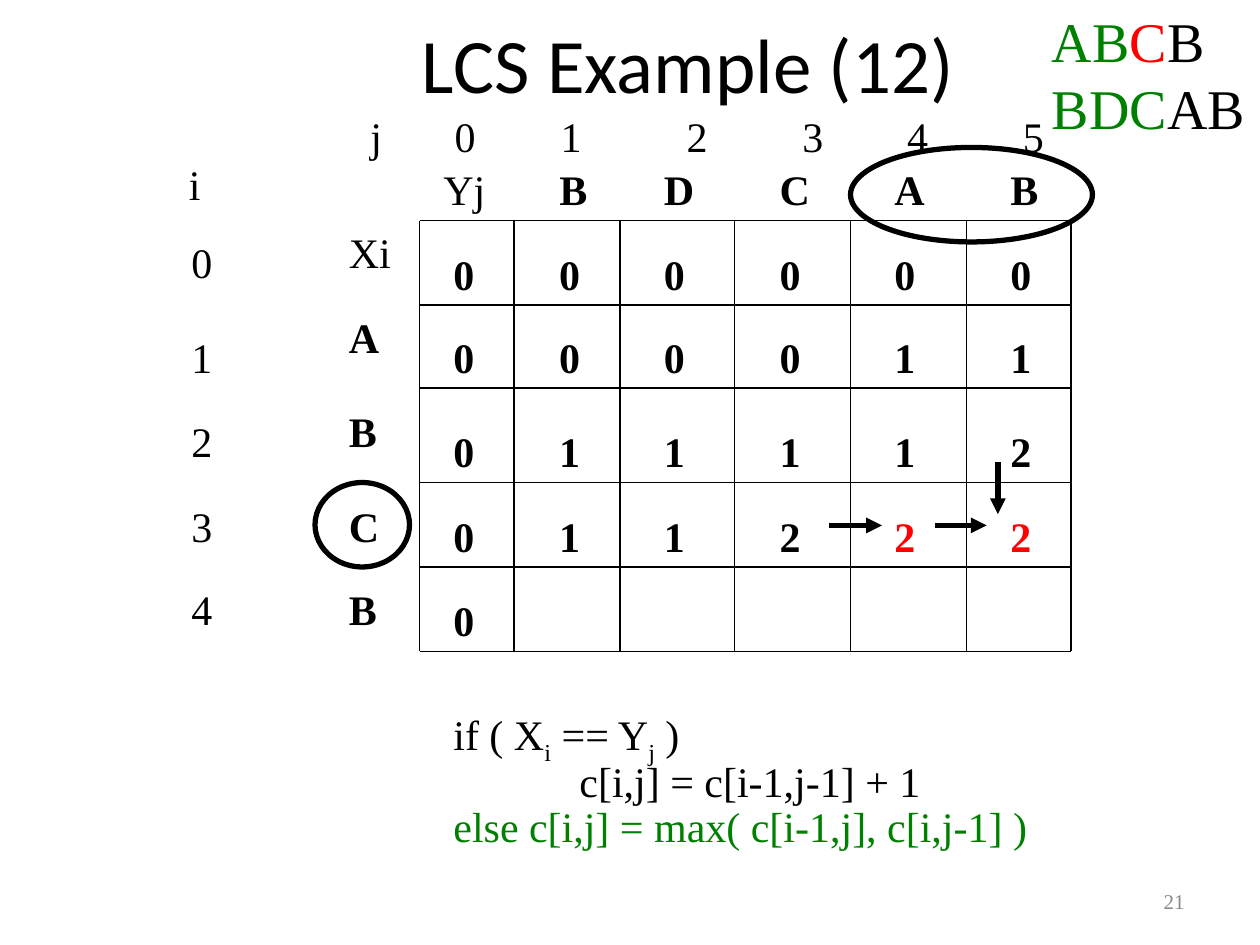
import pptx
import pptx.dml.color
import pptx.enum.shapes
import pptx.enum.text
import pptx.oxml
import pptx.oxml.ns
import pptx.util
from pptx.util import Inches

BLACK = pptx.dml.color.RGBColor(0x00, 0x00, 0x00)
GREEN = pptx.dml.color.RGBColor(0x00, 0x80, 0x00)
RED = pptx.dml.color.RGBColor(0xFF, 0x00, 0x00)
GRAY = pptx.dml.color.RGBColor(0x89, 0x89, 0x89)
SERIF = "Times New Roman"
ALIGN = pptx.enum.text.PP_ALIGN
MIDDLE = pptx.enum.text.MSO_ANCHOR.MIDDLE

# Content
TITLE = "LCS Example (12)"
SLIDE_NUMBER = "21"
COLUMN_INDEXES = "j\t0\t1\t2\t3\t4\t5"
ROW_INDEXES = ["0", "1", "2", "3", "4"]
COLUMN_SYMBOLS = ["B", "D", "C", "A", "B"]
ROW_SYMBOLS = ["A", "B", "C", "B"]
LCS_VALUES = ["000000", "000011", "011112", "011222", "0"]
RED_CELLS = {(3, 4), (3, 5)}
# Paragraphs as (indent, [(text, color, baseline)])
STRINGS = [
    (0, [("AB", GREEN, 0), ("C", RED, 0), ("B", BLACK, 0)]),
    (0, [("BDC", GREEN, 0), ("AB", BLACK, 0)]),
]
RULE = [
    (2, [("if ( X", BLACK, 0), ("i", BLACK, -25), (" == Y", BLACK, 0),
         ("j", BLACK, -25), (" )", BLACK, 0)]),
    (3, [("c[i,j] = c[i-1,j-1] + 1", BLACK, 0)]),
    (2, [("else c[i,j] = max( c[i-1,j], c[i,j-1] )", GREEN, 0)]),
]

# Positions in inches
GRID_X = [3.33, 4.08, 4.92, 5.83, 6.75, 7.67, 8.5]
GRID_Y = [1.75, 2.42, 3.08, 3.83, 4.5, 5.17]
CELL_LEFTS = [3.5, 4.34, 5.17, 6.09, 7, 7.92]
CELL_TOPS = [1.92, 2.58, 3.33, 4, 4.67]
SYMBOL_TOPS = [2.42, 3.17, 3.92, 4.58]
INDEX_TOPS = [1.83, 2.58, 3.25, 3.92, 4.58]
INDEX_TABS = [0.67, 1.51, 2.51, 3.43, 4.26, 5.18]
SYMBOL_LEFT, INDEX_LEFT, HEADER_TOP = 2.67, 1.42, 1.25
LABEL_WIDTHS = {"i": 0.29, "B": 0.42, "A": 0.44, "C": 0.44, "D": 0.44,
                "Xi": 0.53, "Yj": 0.53}
DIGIT_WIDTH = 0.36
ARROWS = [(6.58, 4.17, 7, 4.17), (7.42, 4.17, 7.83, 4.17), (7.92, 3.67, 7.92, 4.08)]
RINGS = [(6.75, 1.17, 1.92, 0.75), (2.5, 3.83, 0.75, 0.67)]


def format_font(font, color=BLACK, **values):
    settings = {"name": SERIF, "size": pptx.util.Pt(24), "bold": False, **values}
    for attribute, value in settings.items():
        setattr(font, attribute, value)
    font.color.rgb = color


def add_box(slide, left, top, width, height, wrap=True):
    box = slide.shapes.add_textbox(*map(Inches, (left, top, width, height)))
    box.text_frame.word_wrap = wrap
    return box.text_frame


def add_label(slide, text, left, top, **font_values):
    width = LABEL_WIDTHS.get(text, DIGIT_WIDTH)
    paragraph = add_box(slide, left, top, width, 0.5, wrap=False).paragraphs[0]
    paragraph.text = text
    format_font(paragraph.runs[0].font, **font_values)


def add_rich_text(frame, paragraphs, size, line_spacing=1.0):
    for number, (indent, runs) in enumerate(paragraphs):
        paragraph = frame.add_paragraph() if number else frame.paragraphs[0]
        paragraph.line_spacing = line_spacing
        paragraph._p.get_or_add_pPr().set("marL", str(Inches(indent)))
        for text, color, baseline in runs:
            run = paragraph.add_run()
            run.text = text
            format_font(run.font, color, size=pptx.util.Pt(size))
            if baseline:
                run._r.get_or_add_rPr().set("baseline", str(baseline * 1000))


def add_line(slide, ends, width, arrow=False):
    line = slide.shapes.add_connector(
        pptx.enum.shapes.MSO_CONNECTOR.STRAIGHT, *map(Inches, ends))
    line.line.color.rgb = BLACK
    line.line.width = pptx.util.Pt(width)
    if arrow:
        head = pptx.oxml.parse_xml(
            f'<a:tailEnd {pptx.oxml.ns.nsdecls("a")} type="triangle"/>')
        line.line._get_or_add_ln().append(head)
    line._element.spPr.append(
        pptx.oxml.parse_xml(f'<a:effectLst {pptx.oxml.ns.nsdecls("a")}/>'))


def main():
    presentation = pptx.Presentation()
    presentation.slide_width, presentation.slide_height = Inches(10), Inches(7.5)
    slide = presentation.slides.add_slide(presentation.slide_layouts[5])

    # Title
    title = slide.shapes.title
    place = {"left": 0.92, "top": 0, "width": 9.08, "height": 1}
    for attribute, value in place.items():
        setattr(title, attribute, Inches(value))
    title.text_frame.text = TITLE
    title.text_frame.vertical_anchor = MIDDLE
    paragraph = title.text_frame.paragraphs[0]
    paragraph.alignment = ALIGN.CENTER
    format_font(paragraph.runs[0].font, name="Calibri", size=pptx.util.Pt(44))

    # Slide number
    frame = add_box(slide, 7.17, 6.95, 2.33, 0.4)
    frame.vertical_anchor = MIDDLE
    paragraph = frame.paragraphs[0]
    paragraph.text = SLIDE_NUMBER
    paragraph.alignment = ALIGN.RIGHT
    format_font(paragraph.runs[0].font, GRAY, size=pptx.util.Pt(12))

    # Grid lines
    for x in GRID_X:
        add_line(slide, (x, GRID_Y[0], x, GRID_Y[-1]), 0.75)
    for y in GRID_Y:
        add_line(slide, (GRID_X[0], y, GRID_X[-1], y), 0.75)

    # Column indexes on tab stops
    paragraph = add_box(slide, 2.84, 0.83, 5.62, 0.5).paragraphs[0]
    stops = "".join(f'<a:tab pos="{Inches(stop)}" algn="l"/>' for stop in INDEX_TABS)
    paragraph._p.get_or_add_pPr().append(pptx.oxml.parse_xml(
        f'<a:tabLst {pptx.oxml.ns.nsdecls("a")}>{stops}</a:tabLst>'))
    run = paragraph.add_run()
    run.text = COLUMN_INDEXES
    format_font(run.font)

    # Row indexes and the symbols of both strings
    add_label(slide, "i", 1.4, 1.21)
    add_label(slide, "Xi", SYMBOL_LEFT, GRID_Y[0])
    add_label(slide, "Yj", 3.42, HEADER_TOP)
    for text, top in zip(ROW_INDEXES, INDEX_TOPS):
        add_label(slide, text, INDEX_LEFT, top)
    for text, top in zip(ROW_SYMBOLS, SYMBOL_TOPS):
        add_label(slide, text, SYMBOL_LEFT, top, bold=True)
    for text, left in zip(COLUMN_SYMBOLS, CELL_LEFTS[1:]):
        add_label(slide, text, left, HEADER_TOP, bold=True)

    # LCS lengths
    for row, (values, top) in enumerate(zip(LCS_VALUES, CELL_TOPS)):
        for column, (value, left) in enumerate(zip(values, CELL_LEFTS)):
            color = RED if (row, column) in RED_CELLS else BLACK
            add_label(slide, value, left, top, color=color, bold=True)

    # Recurrence rule
    add_rich_text(add_box(slide, 1.5, 5.58, 6.95, 1.23), RULE, 24, 0.9)

    # Arrows and rings
    for ends in ARROWS:
        add_line(slide, ends, 3, arrow=True)
    for bounds in RINGS:
        ring = slide.shapes.add_shape(
            pptx.enum.shapes.MSO_SHAPE.OVAL, *map(Inches, bounds))
        ring.shadow.inherit = False
        ring.fill.background()
        ring.line.color.rgb = BLACK
        ring.line.width = pptx.util.Pt(3)

    # Compared strings
    add_rich_text(add_box(slide, 8.25, 0, 1.75, 1.17), STRINGS, 32)

    presentation.save("out.pptx")


if __name__ == "__main__":
    main()
